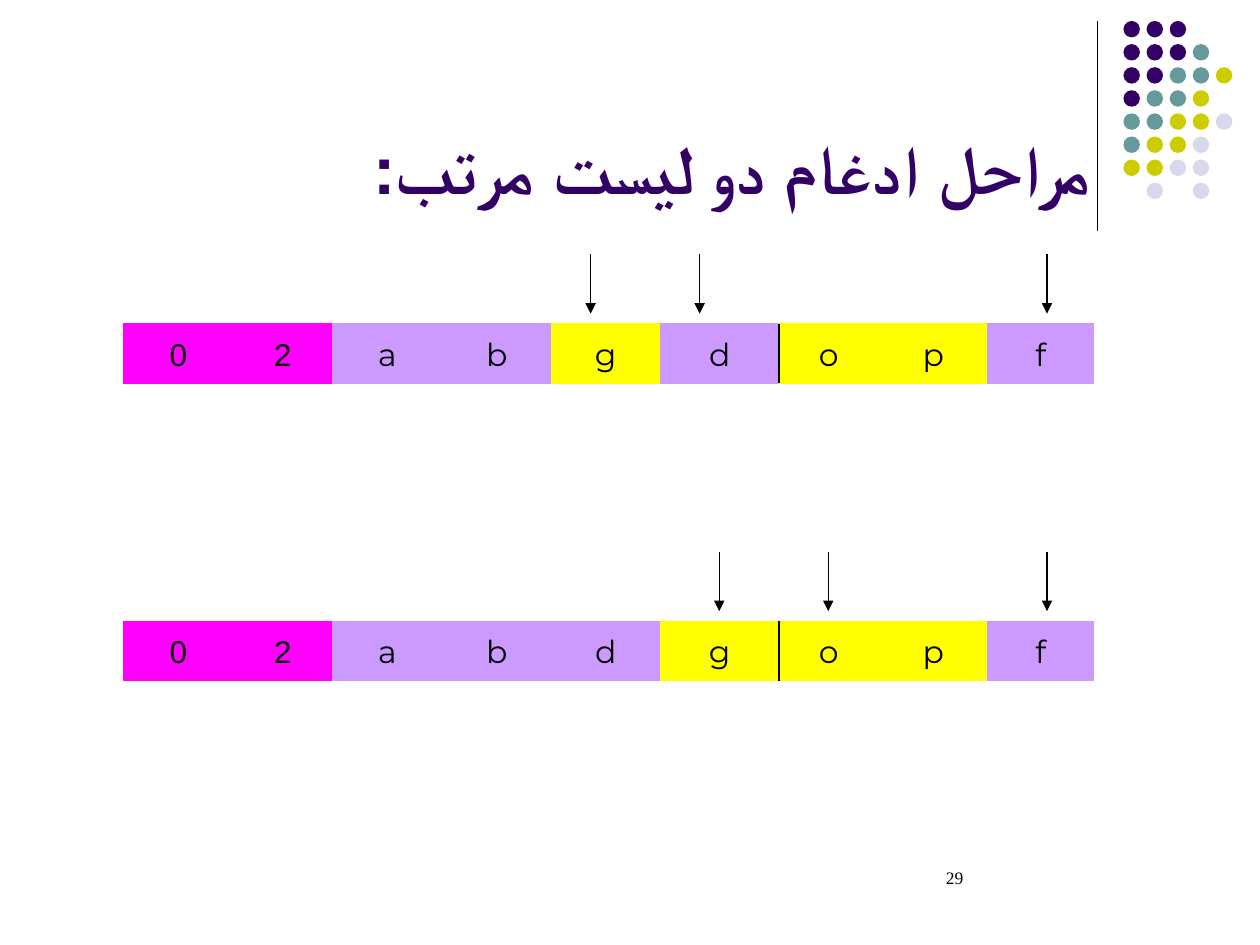
from lxml import etree
from pptx import Presentation
from pptx.dml.color import RGBColor
from pptx.enum.shapes import MSO_CONNECTOR, MSO_SHAPE
from pptx.enum.text import MSO_ANCHOR, PP_ALIGN
from pptx.oxml.ns import qn
from pptx.util import Pt

STRAIGHT = MSO_CONNECTOR.STRAIGHT
RECTANGLE, OVAL = MSO_SHAPE.RECTANGLE, MSO_SHAPE.OVAL
MIDDLE, BOTTOM = MSO_ANCHOR.MIDDLE, MSO_ANCHOR.BOTTOM
CENTER, RIGHT = PP_ALIGN.CENTER, PP_ALIGN.RIGHT
color = RGBColor.from_string

PURPLE, TEAL, OLIVE, PALE = "330066", "669999", "CCCC00", "D8D8EC"
MAGENTA, LILAC, YELLOW, BLACK = "FF00FF", "CC99FF", "FFFF00", "000000"


def add_line(page, x, top, bottom, arrow=False):
    """Draw a thin black vertical line, with an arrowhead at the bottom if asked."""
    line = page.shapes.add_connector(STRAIGHT, Pt(x), Pt(top), Pt(x), Pt(bottom))
    line.line.color.rgb = color(BLACK)
    line.line.width = Pt(0.75)
    if arrow:
        etree.SubElement(line.line._get_or_add_ln(), qn("a:tailEnd"), type="triangle")
    etree.SubElement(line._element.spPr, qn("a:effectLst"))


def add_text(para, text, font, size, hex_color, bold=False, rtl=True):
    span = para.add_run()
    span.text = text
    span.font.name = font
    span.font.size = Pt(size)
    span.font.bold = bold
    span.font.color.rgb = color(hex_color)
    if rtl:
        para._p.get_or_add_pPr().set("rtl", "1")
        etree.SubElement(span._r.get_or_add_rPr(), qn("a:cs"), typeface="Arial")


deck = Presentation()
deck.slide_width, deck.slide_height = Pt(720), Pt(540)
page = deck.slides.add_slide(deck.slide_layouts[5])

# Corner ornament: a grid of dots beside a vertical rule
add_line(page, 627.1, 12.2, 131.8)
dot_colors = {"P": PURPLE, "T": TEAL, "O": OLIVE, "L": PALE}
dot_rows = ["PPP", "PPPT", "PPTTO", "PTTO", "TTOOL", "TOOL", "OOLL", ".L.L"]
DOT_PITCH, DOT_SIZE = 13.2, 9.4
for row, codes in enumerate(dot_rows):
    for column, code in enumerate(codes):
        if code == ".":
            continue
        dot = page.shapes.add_shape(
            OVAL, Pt(642 + column * DOT_PITCH), Pt(12 + row * DOT_PITCH),
            Pt(DOT_SIZE), Pt(DOT_SIZE))
        dot.shadow.inherit = False
        dot.fill.solid()
        dot.fill.fore_color.rgb = color(dot_colors[code])
        dot.line.fill.background()

title = page.shapes.title
title.left, title.top, title.width, title.height = Pt(36.7), Pt(20.2), Pt(594), Pt(102.2)
title.text_frame.vertical_anchor = BOTTOM
title.text_frame.word_wrap = True
title_para = title.text_frame.paragraphs[0]
title_para.alignment = RIGHT
add_text(title_para, "مراحل ادغام دو ليست مرتب:", "Arial", 39, PURPLE, bold=True)

# The two list states: top, letters, cell colours, arrow positions
cell_edges = [70.6, 133.2, 190.1, 252.7, 315, 377.3, 445.2, 502, 564.5, 625]
CELL_HEIGHT = 34
DIVIDER_X = cell_edges[6]
cell_colors = {"M": MAGENTA, "L": LILAC, "Y": YELLOW}
list_states = [
    (185, "02abgdopf", "MMLLYLYYL", (337.5, 399.8, 598.3)),
    (355, "02abdgopf", "MMLLLYYYL", (411, 473.3, 598.3)),
]
for top, letters, codes, arrow_xs in list_states:
    for arrow_x in arrow_xs:
        add_line(page, arrow_x, top - 39.6, top - 5.8, arrow=True)
    for left, right, letter, code in zip(cell_edges, cell_edges[1:], letters, codes):
        cell = page.shapes.add_shape(
            RECTANGLE, Pt(left), Pt(top), Pt(right - left), Pt(CELL_HEIGHT))
        cell.shadow.inherit = False
        cell.fill.solid()
        cell.fill.fore_color.rgb = color(cell_colors[code])
        cell.line.color.rgb = color(cell_colors[code])
        cell.line.width = Pt(0.75)
        cell.text_frame.word_wrap = False
        cell.text_frame.vertical_anchor = MIDDLE
        para = cell.text_frame.paragraphs[0]
        para.alignment = CENTER
        add_text(para, letter, "Montserrat", 18, BLACK)
    add_line(page, DIVIDER_X, top, top + CELL_HEIGHT)

number_box = page.shapes.add_textbox(Pt(516.2), Pt(491.8), Pt(167.8), Pt(36))
number_box.text_frame.word_wrap = True
number_para = number_box.text_frame.paragraphs[0]
number_para._p.get_or_add_pPr().set("marL", str(Pt(17.3)))
add_text(number_para, "29", "Times New Roman", 10, BLACK, rtl=False)

deck.save("out.pptx")
